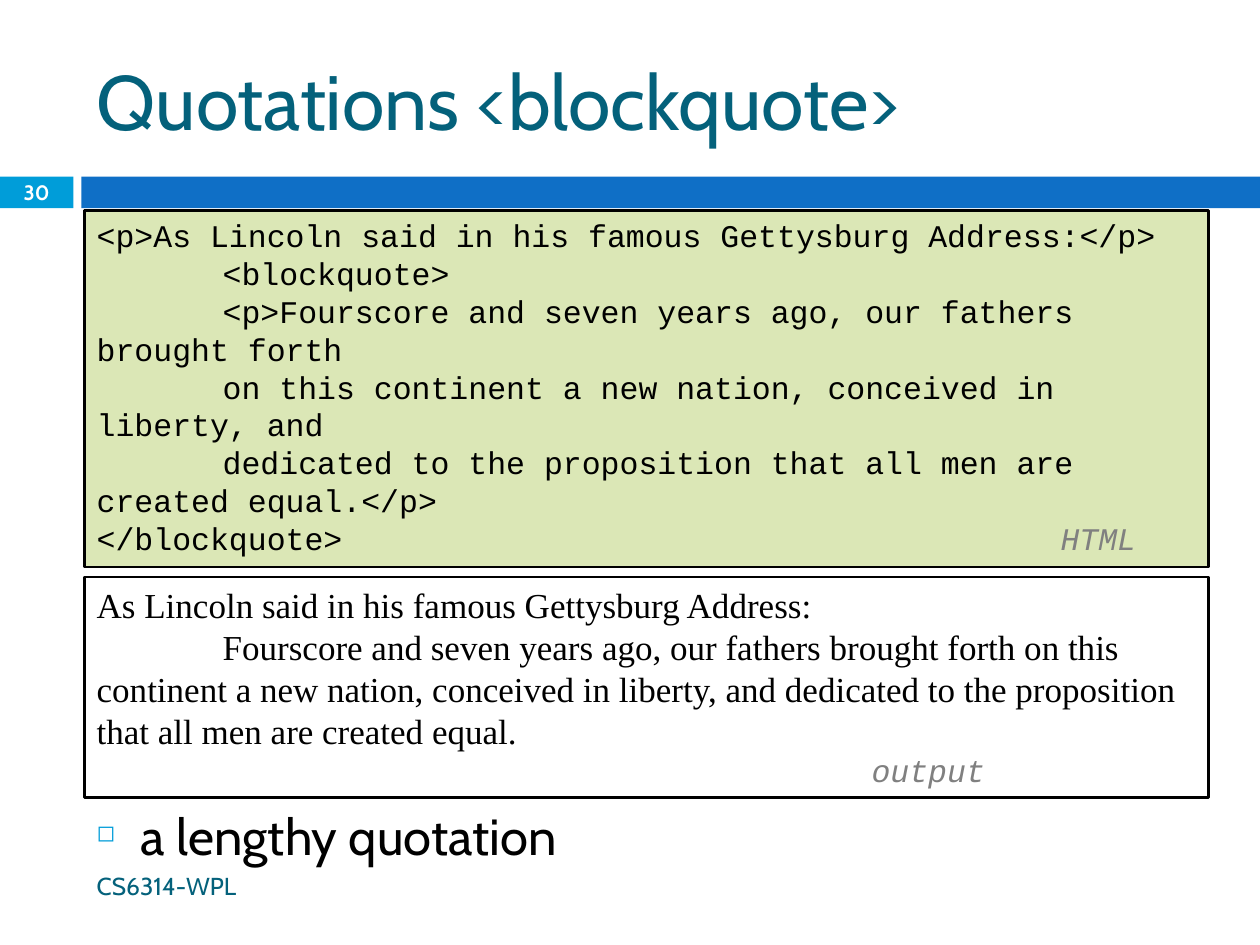
"""Build a slide on the HTML blockquote element with its code and output."""
import dataclasses

import lxml.etree
import pptx
import pptx.dml.color
import pptx.enum.shapes
import pptx.enum.text
import pptx.oxml.ns
import pptx.util
from pptx.util import Cm

CODE_LINES = [
    "<p>As Lincoln said in his famous Gettysburg Address:</p>",
    "\t<blockquote>",
    "\t<p>Fourscore and seven years ago, our fathers brought forth",
    "\ton this continent a new nation, conceived in liberty, and",
    "\tdedicated to the proposition that all men are created equal.</p>",
]
OUTPUT_LINES = [
    "As Lincoln said in his famous Gettysburg Address:",
    "\tFourscore and seven years ago, our fathers brought forth on this "
    "continent a new nation, conceived in liberty, and dedicated to the "
    "proposition that all men are created equal.",
]


@dataclasses.dataclass(frozen=True)
class Style:
    """Describe the look of one kind of text."""

    font: str
    size: float
    color: str
    bold: bool = False
    italic: bool = False


@dataclasses.dataclass(frozen=True)
class Theme:
    """Hold the colours and text styles of the slide."""

    band: str = "0F6FC6"
    accent: str = "009DD9"
    code_fill: str = "DBE7B6"
    border: str = "000000"
    title: Style = Style("Cabin", 44, "04617B")
    body: Style = Style("Cabin", 29, "000000")
    footer: Style = Style("Cabin", 14, "04617B")
    number: Style = Style("Cabin", 11.9, "FFFFFF", bold=True)
    code: Style = Style("Courier New", 18, "000000")
    output: Style = Style("Times New Roman", 20, "000000")
    label: Style = Style("Courier New", 18, "808080", italic=True)


THEME = Theme()
LEFT, WIDTH = Cm(1.7), Cm(22.66)
BAND_TOP, BAND_HEIGHT = Cm(3.56), Cm(0.64)
LINE_TAB = Cm(2.54)


def rgb(value):
    """Return a colour from its hexadecimal value."""
    return pptx.dml.color.RGBColor.from_string(value)


def add_span(para, text, style):
    """Append a styled run to a paragraph."""
    span = para.add_run()
    span.text = text
    span.font.name = style.font
    span.font.size = pptx.util.Pt(style.size)
    span.font.color.rgb = rgb(style.color)
    span.font.bold = style.bold
    span.font.italic = style.italic


def add_property(para, tag, **attributes):
    """Append an element to the properties of a paragraph."""
    properties = para._p.get_or_add_pPr()
    return lxml.etree.SubElement(properties, pptx.oxml.ns.qn(tag), attributes)


def set_tab(para, position):
    """Give a paragraph one left tab stop."""
    tabs = add_property(para, "a:tabLst")
    lxml.etree.SubElement(
        tabs, pptx.oxml.ns.qn("a:tab"), pos=str(int(position)), algn="l"
    )


def set_bullet(para, symbol, color, percent, indent):
    """Give a paragraph a coloured bullet and a hanging indent."""
    properties = para._p.get_or_add_pPr()
    properties.set("marL", str(int(indent)))
    properties.set("indent", str(-int(indent)))
    fill = add_property(para, "a:buClr")
    lxml.etree.SubElement(fill, pptx.oxml.ns.qn("a:srgbClr"), val=color)
    add_property(para, "a:buSzPct", val=str(percent * 1000))
    add_property(para, "a:buChar", char=symbol)


def add_rectangle(page, left, top, width, height, fill=None, border=None):
    """Add a flat rectangle with an optional fill and border."""
    box = page.shapes.add_shape(
        pptx.enum.shapes.MSO_SHAPE.RECTANGLE, left, top, width, height
    )
    box.shadow.inherit = False
    if fill:
        box.fill.solid()
        box.fill.fore_color.rgb = rgb(fill)
    else:
        box.fill.background()
    if border:
        box.line.color.rgb = rgb(border)
        box.line.width = pptx.util.Pt(1.5)
    else:
        box.line.fill.background()
    return box


def add_text(page, left, top, width, height, text, style):
    """Add a wrapped text box and return its frame."""
    frame = page.shapes.add_textbox(left, top, width, height).text_frame
    frame.word_wrap = True
    add_span(frame.paragraphs[0], text, style)
    return frame


def add_listing(page, top, height, fill, lines, style, ending, label_tab):
    """Add a bordered panel of lines that closes with a tabbed label."""
    box = add_rectangle(page, LEFT, top, WIDTH, height, fill, THEME.border)
    frame = box.text_frame
    frame.word_wrap = True
    frame.auto_size = pptx.enum.text.MSO_AUTO_SIZE.SHAPE_TO_FIT_TEXT
    frame.vertical_anchor = pptx.enum.text.MSO_ANCHOR.TOP
    for index, line in enumerate(lines):
        para = frame.paragraphs[0] if index == 0 else frame.add_paragraph()
        para.alignment = pptx.enum.text.PP_ALIGN.LEFT
        set_tab(para, LINE_TAB)
        add_span(para, line, style)
    para = frame.add_paragraph()
    para.alignment = pptx.enum.text.PP_ALIGN.LEFT
    set_tab(para, label_tab)
    closing, label = ending
    add_span(para, closing + "\t", THEME.code)
    add_span(para, label, THEME.label)


def add_band(page, number):
    """Add the coloured band with the slide number."""
    box = add_rectangle(page, 0, BAND_TOP, Cm(1.48), BAND_HEIGHT, THEME.accent)
    frame = box.text_frame
    frame.margin_top = frame.margin_bottom = 0
    frame.vertical_anchor = pptx.enum.text.MSO_ANCHOR.MIDDLE
    para = frame.paragraphs[0]
    para.alignment = pptx.enum.text.PP_ALIGN.CENTER
    add_span(para, number, THEME.number)
    add_rectangle(page, Cm(1.64), BAND_TOP, Cm(23.76), BAND_HEIGHT, THEME.band)


def set_title(page, text):
    """Place and format the title placeholder."""
    title = page.shapes.title
    title.left, title.top, title.width, title.height = LEFT, Cm(0.64), WIDTH, Cm(2.75)
    frame = title.text_frame
    frame.auto_size = pptx.enum.text.MSO_AUTO_SIZE.NONE
    frame.vertical_anchor = pptx.enum.text.MSO_ANCHOR.MIDDLE
    para = frame.paragraphs[0]
    para.alignment = pptx.enum.text.PP_ALIGN.LEFT
    add_span(para, text, THEME.title)


def main():
    """Build and save the slide."""
    deck = pptx.Presentation()
    deck.slide_width, deck.slide_height = Cm(25.4), Cm(19.05)
    page = deck.slides.add_slide(deck.slide_layouts[5])
    add_band(page, "30")
    set_title(page, "Quotations <blockquote>")
    bullet = add_text(
        page, LEFT, Cm(16.1), WIDTH, Cm(1.5), "a lengthy quotation", THEME.body
    )
    set_bullet(bullet.paragraphs[0], "◻", THEME.accent, 45, Cm(0.89))
    footer = add_text(
        page, LEFT, Cm(17.35), Cm(15.06), Cm(1.02), "CS6314-WPL", THEME.footer
    )
    footer.vertical_anchor = pptx.enum.text.MSO_ANCHOR.MIDDLE
    add_listing(page, Cm(4.24), Cm(7.19), THEME.code_fill, CODE_LINES,
                THEME.code, ("</blockquote>", "HTML"), Cm(19.43))
    add_listing(page, Cm(11.63), Cm(4.45), None, OUTPUT_LINES,
                THEME.output, ("", "output"), Cm(15.62))
    deck.save("out.pptx")


if __name__ == "__main__":
    main()
